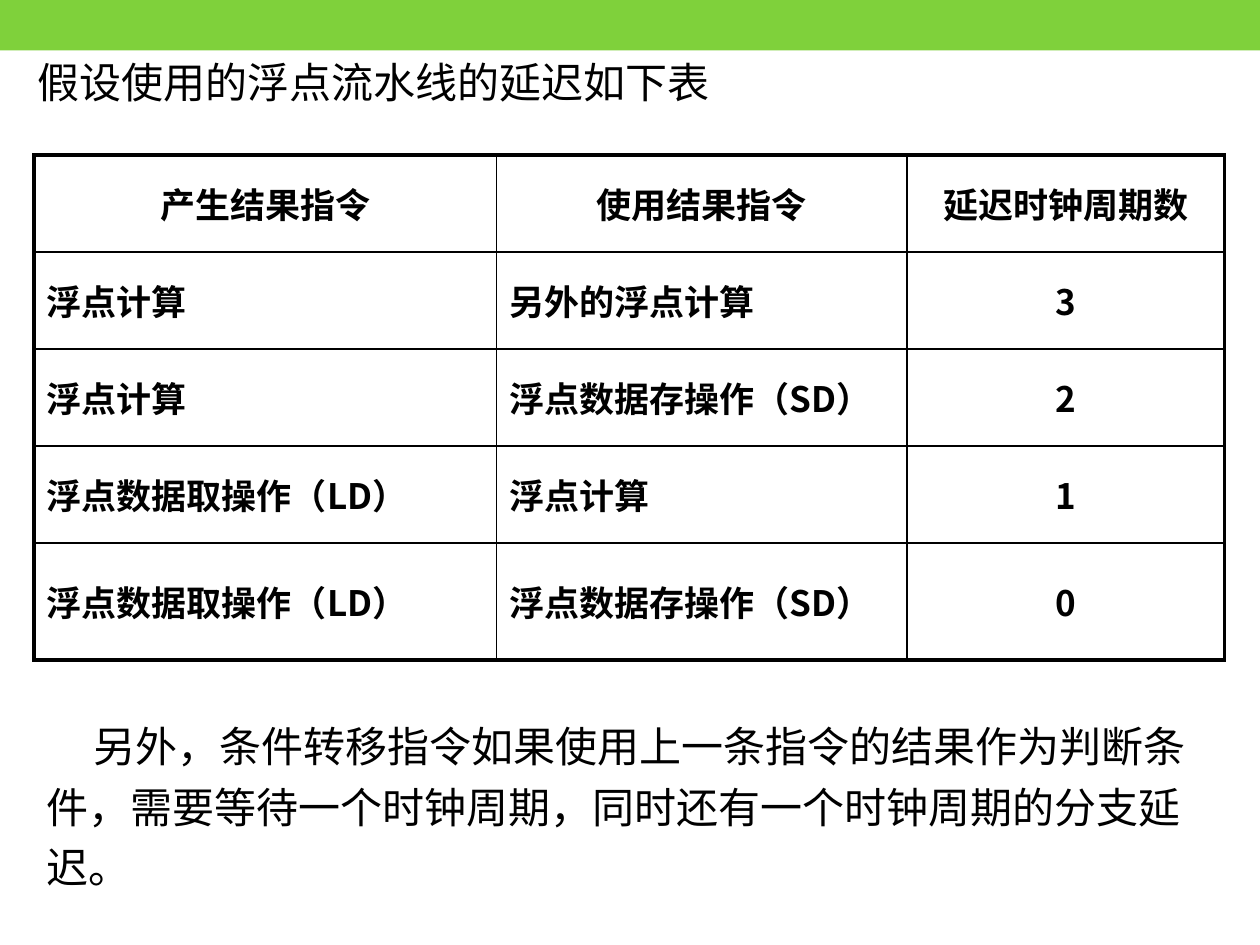
from lxml.etree import SubElement
from pptx import Presentation
from pptx.dml.color import RGBColor
from pptx.enum.shapes import MSO_SHAPE
from pptx.enum.text import MSO_ANCHOR, PP_ALIGN
from pptx.oxml import parse_xml
from pptx.oxml.ns import nsdecls, qn
from pptx.util import Inches, Pt

TITLE = "假设使用的浮点流水线的延迟如下表"
ROWS = [
    ("产生结果指令", "使用结果指令", "延迟时钟周期数"),
    ("浮点计算", "另外的浮点计算", "3"),
    ("浮点计算", "浮点数据存操作（SD）", "2"),
    ("浮点数据取操作（LD）", "浮点计算", "1"),
    ("浮点数据取操作（LD）", "浮点数据存操作（SD）", "0"),
]
NOTE = ("另外，条件转移指令如果使用上一条指令的结果作为判断条件，"
        "需要等待一个时钟周期，同时还有一个时钟周期的分支延迟。")
COL_WIDTHS = [3.67, 3.26, 2.52]
ROW_HEIGHTS = [0.77, 0.77, 0.77, 0.77, 0.93]
LEFT, WIDTH = 0.27, 9.45
OUTER, INNER = 2.25, 1
CJK_FONT = "Noto Sans CJK SC"
GREEN = RGBColor(0x7F, 0xD1, 0x3B)
BLACK = RGBColor(0, 0, 0)
WHITE = RGBColor(0xFF, 0xFF, 0xFF)


def write(tf, text, size, font, bold=False):
    p = tf.paragraphs[0]
    p.text = text
    p.font.size = Pt(size)
    p.font.name = font
    p.font.bold = bold
    p.font.color.rgb = BLACK
    for r in p.runs:
        r.font.size = Pt(size)
        r.font.name = font
        r.font.bold = bold
        r.font.color.rgb = BLACK
        SubElement(r.font._element, qn("a:ea"), typeface=font)
    return p


def add_text(s, box, text, font):
    tf = s.shapes.add_textbox(*map(Inches, box)).text_frame
    tf.word_wrap = True
    return write(tf, text, 24, font)


def set_borders(cell, widths):
    tcPr = cell._tc.get_or_add_tcPr()
    for i, (side, width) in enumerate(zip("LRTB", widths)):
        tcPr.insert(i, parse_xml(
            f'<a:ln{side} {nsdecls("a")} w="{Pt(width)}"><a:solidFill>'
            f'<a:srgbClr val="{BLACK}"/></a:solidFill></a:ln{side}>'))


def add_latency_table(s):
    last_row, last_col = len(ROWS) - 1, len(COL_WIDTHS) - 1
    table = s.shapes.add_table(
        len(ROWS), len(COL_WIDTHS), Inches(LEFT), Inches(1.23),
        Inches(WIDTH), Inches(sum(ROW_HEIGHTS))).table
    table.first_row = table.horz_banding = False
    for col, width in zip(table.columns, COL_WIDTHS):
        col.width = Inches(width)
    for i, (values, height) in enumerate(zip(ROWS, ROW_HEIGHTS)):
        table.rows[i].height = Inches(height)
        for j, value in enumerate(values):
            cell = table.cell(i, j)
            cell.vertical_anchor = MSO_ANCHOR.MIDDLE
            cell.fill.solid()
            cell.fill.fore_color.rgb = WHITE
            p = write(cell.text_frame, value, 20, CJK_FONT, bold=True)
            centred = i == 0 or j == last_col
            p.alignment = PP_ALIGN.CENTER if centred else PP_ALIGN.LEFT
            edges = (j == 0, j == last_col, i == 0, i == last_row)
            set_borders(cell, [OUTER if edge else INNER for edge in edges])


prs = Presentation()
prs.slide_width, prs.slide_height = Inches(10), Inches(7.5)
s = prs.slides.add_slide(prs.slide_layouts[6])

band = s.shapes.add_shape(MSO_SHAPE.RECTANGLE, 0, 0, Inches(10), Inches(0.4))
band.shadow.inherit = False
band.fill.solid()
band.fill.fore_color.rgb = GREEN
band.line.fill.background()

add_latency_table(s)
add_text(s, (0.2, 0.4, 5.62, 0.75), TITLE, CJK_FONT)
note = add_text(s, (LEFT, 5.59, WIDTH, 1.51), NOTE, "Arial")
note.line_spacing = 1.2
note._p.get_or_add_pPr().set("indent", str(Inches(0.37)))

prs.save("out.pptx")
